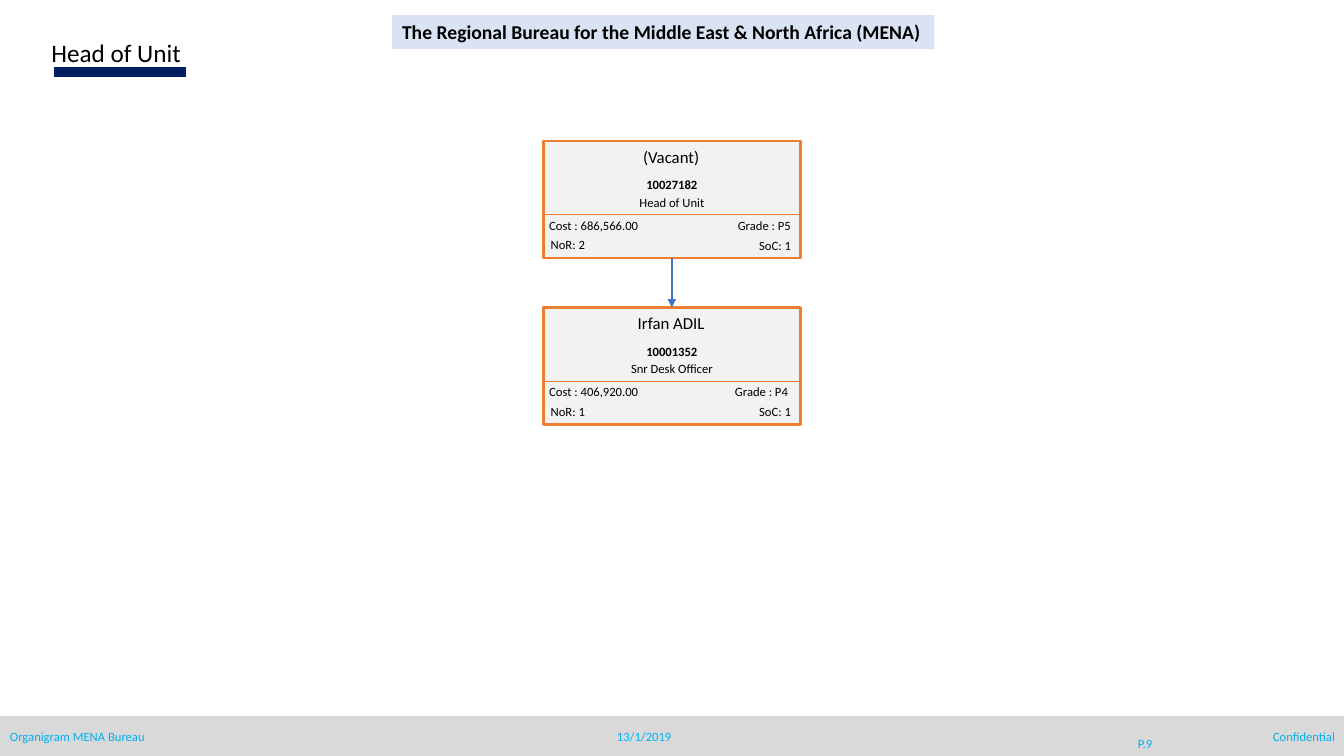
"""Build the organigram slide for the Head of Unit."""
from lxml import etree
from pptx import Presentation
from pptx.dml.color import RGBColor
from pptx.enum import shapes, text
from pptx.oxml import ns
from pptx.util import Pt

BLACK = RGBColor(0x00, 0x00, 0x00)
NAVY = RGBColor(0x00, 0x20, 0x60)
CYAN = RGBColor(0x00, 0xB0, 0xF0)
BLUE = RGBColor(0x44, 0x72, 0xC4)
PALE = RGBColor(0xDA, 0xE3, 0xF3)
ORANGE = RGBColor(0xED, 0x7D, 0x31)
LIGHT = RGBColor(0xF2, 0xF2, 0xF2)
GREY = RGBColor(0xD9, 0xD9, 0xD9)

LEFT, MID, RIGHT = text.PP_ALIGN.LEFT, text.PP_ALIGN.CENTER, text.PP_ALIGN.RIGHT

TITLE = "Head of Unit"
BUREAU = "The Regional Bureau for the Middle East & North Africa (MENA)"
FOOTER = [
    ("Organigram MENA Bureau", 0, 517, 221.8, 18, LEFT),
    ("13/1/2019", 428.4, 517, 63.4, 18, MID),
    ("P.9", 789.1, 522.4, 57.6, 18, MID),
    ("Confidential", 738.7, 517, 221.8, 18, RIGHT),
]
STAFF = [
    ("(Vacant)", "10027182", "Head of Unit",
     "Cost : 686,566.00", "Grade : P5", "NoR: 2", "SoC: 1"),
    ("Irfan ADIL", "10001352", "Snr Desk Officer",
     "Cost : 406,920.00", "Grade : P4 ", "NoR: 1", "SoC: 1"),
]
FIELDS = [
    (-0.7, 0.3, 184, 22, MID, 12, False),
    (0, 22.3, 183.6, 18, MID, 9, True),
    (0, 34.6, 183.6, 18, MID, 9, False),
    (-2.9, 51.1, 113.8, 18, LEFT, 9, False),
    (96, 51.1, 87.8, 18, RIGHT, 9, False),
    (-1.8, 65, 56, 18, LEFT, 9, False),
    (110.5, 65.5, 73.4, 18, RIGHT, 9, False),
]
CARD_X, CARD_Y, CARD_W, CARD_H = 388.1, 100.8, 183.6, 83.5
STEP, RULE = 118.9, 52.6


def write(shape, words, size, color, align=LEFT, bold=False, wrap=True):
    frame = shape.text_frame
    frame.word_wrap = wrap
    frame.vertical_anchor = text.MSO_ANCHOR.TOP
    para = frame.paragraphs[0]
    para.alignment = align
    run = para.add_run()
    run.text = words
    font = run.font
    font.name, font.size, font.bold = "Calibri", Pt(size), bold
    font.color.rgb = color


def label(slide, words, x, y, w, h, align, size, color, bold=False):
    box = slide.shapes.add_textbox(Pt(x), Pt(y), Pt(w), Pt(h))
    write(box, words, size, color, align, bold)


def block(slide, x, y, w, h, fill, edge=None):
    rect = slide.shapes.add_shape(
        shapes.MSO_SHAPE.RECTANGLE, Pt(x), Pt(y), Pt(w), Pt(h))
    rect.shadow.inherit = False
    rect.fill.solid()
    rect.fill.fore_color.rgb = fill
    if edge is None:
        rect.line.fill.background()
    else:
        rect.line.color.rgb = edge
        rect.line.width = Pt(2)
    return rect


def link(slide, x1, y1, x2, y2, color, width):
    line = slide.shapes.add_connector(
        shapes.MSO_CONNECTOR.STRAIGHT, Pt(x1), Pt(y1), Pt(x2), Pt(y2))
    line.line.color.rgb = color
    line.line.width = Pt(width)
    etree.SubElement(line.element.spPr, ns.qn("a:effectLst"))
    return line


def card(slide, person, y):
    rect = block(slide, CARD_X, y, CARD_W, CARD_H, LIGHT, ORANGE)
    link(slide, CARD_X, y + RULE, CARD_X + CARD_W, y + RULE, ORANGE, 1)
    for words, (dx, dy, w, h, align, size, bold) in zip(person, FIELDS):
        label(slide, words, CARD_X + dx, y + dy, w, h, align, size, BLACK, bold)
    return rect


def main():
    deck = Presentation()
    deck.slide_width, deck.slide_height = Pt(960), Pt(540)
    slide = deck.slides.add_slide(deck.slide_layouts[5])

    link(slide, 38.4, 51.3, 132.6, 51.3, NAVY, 7)
    block(slide, 0, 511.4, 960, 28.6, GREY)
    for words, x, y, w, h, align in FOOTER:
        label(slide, words, x, y, w, h, align, 9, CYAN)

    title = slide.shapes.title
    title.left, title.top = Pt(29.5), Pt(23)
    title.width, title.height = Pt(381.6), Pt(29.5)
    write(title, TITLE, 18, BLACK)
    banner = block(slide, 280.1, 10.8, 387.4, 24.3, PALE)
    write(banner, BUREAU, 14, BLACK, bold=True, wrap=False)

    cards = [card(slide, who, CARD_Y + i * STEP) for i, who in enumerate(STAFF)]
    for boss, report in zip(cards, cards[1:]):
        arrow = link(slide, 0, 0, 0, 0, BLUE, 1.5)
        arrow.begin_connect(boss, 2)
        arrow.end_connect(report, 0)
        tip = etree.SubElement(arrow.line._get_or_add_ln(), ns.qn("a:tailEnd"))
        tip.set("type", "triangle")

    deck.save("out.pptx")


if __name__ == "__main__":
    main()
